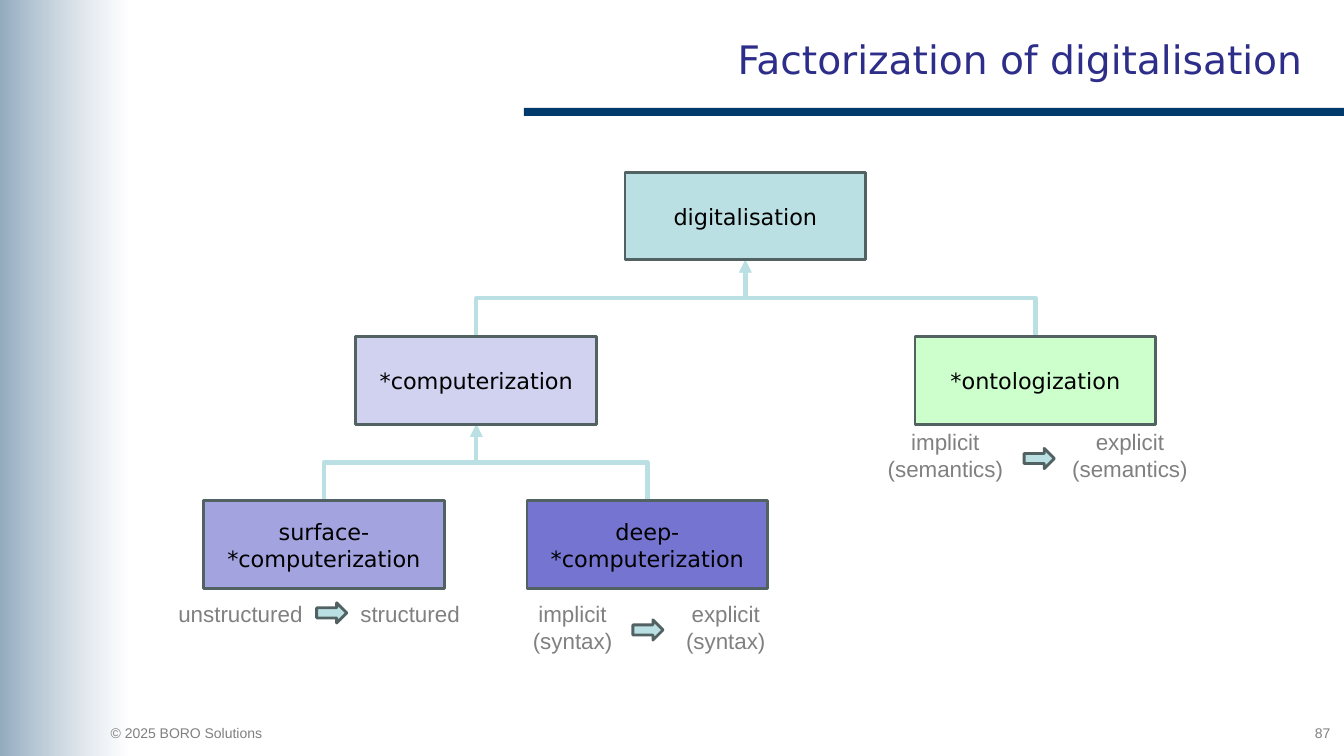
from dataclasses import dataclass

from lxml import etree
from pptx import Presentation
from pptx import util as u
from pptx.dml.color import RGBColor
from pptx.enum import shapes, text
from pptx.oxml.ns import qn

Cm = u.Cm


@dataclass(frozen=True)
class Theme:
    navy: str = "00396B"
    white: str = "FFFFFF"
    title: str = "2D2D8A"
    grey: str = "808080"
    black: str = "000000"
    outline: str = "526263"
    teal: str = "BBE0E3"
    green: str = "CCFFCC"
    lilac: str = "D1D1F0"
    violet: str = "A3A3E0"
    indigo: str = "7575D1"
    heading_font: str = "DejaVu Sans"
    body_font: str = "Arial"
    title_size: int = 28
    label_size: int = 16
    footer_size: int = 10


THEME = Theme()
BOX_WIDTH, BOX_HEIGHT = 6.07, 2.21
TOP_LEVEL, LEVEL_STEP = 4.34, 4.14
ARROW_WIDTH, ARROW_HEIGHT = 0.76, 0.51

# name: (left, level, fill, parent)
CONCEPTS = {
    "digitalisation": (15.75, 0, THEME.teal, None),
    "*computerization": (8.97, 1, THEME.lilac, "digitalisation"),
    "*ontologization": (23.06, 1, THEME.green, "digitalisation"),
    "surface-*computerization": (5.13, 2, THEME.violet, "*computerization"),
    "deep-*computerization": (13.28, 2, THEME.indigo, "*computerization"),
}

# top, (before, left, width), (arrow left, arrow top), (after, left, width)
CHANGES = [
    (14.99, ("unstructured", 4.22, 3.68), (7.98, 15.19), ("structured", 8.81, 3.05)),
    (14.99, ("implicit\n(syntax)", 13.16, 2.54), (15.95, 15.62),
     ("explicit\n(syntax)", 17.02, 2.54)),
    (10.67, ("implicit\n(semantics)", 22.1, 3.45), (25.81, 11.3),
     ("explicit\n(semantics)", 26.75, 3.45)),
]


def colour(value):
    return RGBColor.from_string(value)


def write(shape, words, size=THEME.label_size, font=THEME.body_font, ink=THEME.grey,
          align=text.PP_ALIGN.CENTER, anchor=text.MSO_ANCHOR.TOP, wrap=True):
    """Fill a shape with one paragraph per line of words."""
    frame = shape.text_frame
    frame.word_wrap = wrap
    frame.vertical_anchor = anchor
    for index, line in enumerate(words.split("\n")):
        para = frame.paragraphs[0] if index == 0 else frame.add_paragraph()
        para.alignment = align
        span = para.add_run()
        span.text = line
        span.font.size = u.Pt(size)
        span.font.name = font
        span.font.color.rgb = colour(ink)


def add_text(page, words, left, top, width, height, **style):
    box = page.shapes.add_textbox(Cm(left), Cm(top), Cm(width), Cm(height))
    write(box, words, **style)


def add_block(page, kind, left, top, width, height, fill, outline=None):
    block = page.shapes.add_shape(kind, Cm(left), Cm(top), Cm(width), Cm(height))
    block.shadow.inherit = False
    block.fill.solid()
    block.fill.fore_color.rgb = colour(fill)
    if outline:
        block.line.color.rgb = colour(outline)
        block.line.width = u.Pt(2)
    else:
        block.line.fill.background()
    return block


def set_opacity(colour_node, percent):
    etree.SubElement(colour_node, qn("a:alpha")).set("val", str(percent * 1000))


def add_side_band(page):
    """Fading band on the left edge, softened by a translucent white layer."""
    rectangle = shapes.MSO_SHAPE.RECTANGLE
    band = add_block(page, rectangle, 0, 0, 3.23, 19.05, THEME.navy)
    band.fill.gradient()
    band.fill.gradient_angle = 0
    for stop, ink in zip(band.fill.gradient_stops, (THEME.navy, THEME.white)):
        stop.color.rgb = colour(ink)
    veil = add_block(page, rectangle, 0, 0, 3.23, 19.05, THEME.white)
    for shape, levels in ((band, (61, 41)), (veil, (30,))):
        for node, percent in zip(shape._element.spPr.iter(qn("a:srgbClr")), levels):
            set_opacity(node, percent)


def add_branch(page, child, parent):
    """Elbow arrow from the top of the child box up to the bottom of its parent."""
    start_x, start_y = child[0] + BOX_WIDTH / 2, level_top(child[1])
    end_x, end_y = parent[0] + BOX_WIDTH / 2, level_top(parent[1]) + BOX_HEIGHT
    middle_x, middle_y = (start_x + end_x) / 2, (start_y + end_y) / 2
    half_rise, half_run = (start_y - end_y) / 2, (end_x - start_x) / 2
    # Laid out sideways, then turned so that it leaves the child vertically.
    branch = page.shapes.add_connector(
        shapes.MSO_CONNECTOR.ELBOW,
        Cm(middle_x - half_rise), Cm(middle_y - half_run),
        Cm(middle_x + half_rise), Cm(middle_y + half_run))
    branch.line.color.rgb = colour(THEME.teal)
    branch.line.width = u.Pt(3)
    properties = branch._element.spPr
    properties.find(qn("a:xfrm")).set("rot", str(270 * 60000))
    etree.SubElement(properties.find(qn("a:ln")), qn("a:tailEnd")).set("type", "triangle")
    etree.SubElement(properties, qn("a:effectLst"))


def level_top(level):
    return TOP_LEVEL + level * LEVEL_STEP


def add_concept(page, name, left, level, fill):
    box = add_block(page, shapes.MSO_SHAPE.RECTANGLE, left, level_top(level),
                    BOX_WIDTH, BOX_HEIGHT, fill, THEME.outline)
    write(box, name, font=THEME.heading_font, ink=THEME.black,
          anchor=text.MSO_ANCHOR.MIDDLE)


def add_change(page, top, before, arrow, after):
    for words, left, width in (before, after):
        height = 0.94 if "\n" not in words else 1.63
        add_text(page, words, left, top, width, height, wrap=False)
    add_block(page, shapes.MSO_SHAPE.RIGHT_ARROW, *arrow, ARROW_WIDTH, ARROW_HEIGHT,
              THEME.teal, THEME.outline)


def add_title(page, words):
    title = page.shapes.title
    title.left, title.top, title.width, title.height = (
        Cm(3.12), Cm(0.38), Cm(29.95), Cm(2.21))
    write(title, words, size=THEME.title_size, font=THEME.heading_font,
          ink=THEME.title, align=text.PP_ALIGN.RIGHT, anchor=text.MSO_ANCHOR.MIDDLE)


def main():
    deck = Presentation()
    deck.slide_width, deck.slide_height = Cm(33.87), Cm(19.05)
    page = deck.slides.add_slide(deck.slide_layouts[5])

    add_block(page, shapes.MSO_SHAPE.RECTANGLE, 13.2, 2.72, 20.67, 0.2, THEME.navy)
    add_side_band(page)
    add_title(page, "Factorization of digitalisation")
    add_text(page, "© 2025 BORO Solutions", 2.54, 18.14, 6.4, 0.69,
             size=THEME.footer_size, align=text.PP_ALIGN.LEFT)
    add_text(page, "87", 30.53, 18.14, 3.25, 0.79,
             size=THEME.footer_size, align=text.PP_ALIGN.RIGHT)

    for concept in CONCEPTS.values():
        if concept[3]:
            add_branch(page, concept, CONCEPTS[concept[3]])
    for change in CHANGES:
        add_change(page, *change)
    for name, (left, level, fill, _) in CONCEPTS.items():
        add_concept(page, name, left, level, fill)

    deck.save("out.pptx")


if __name__ == "__main__":
    main()
